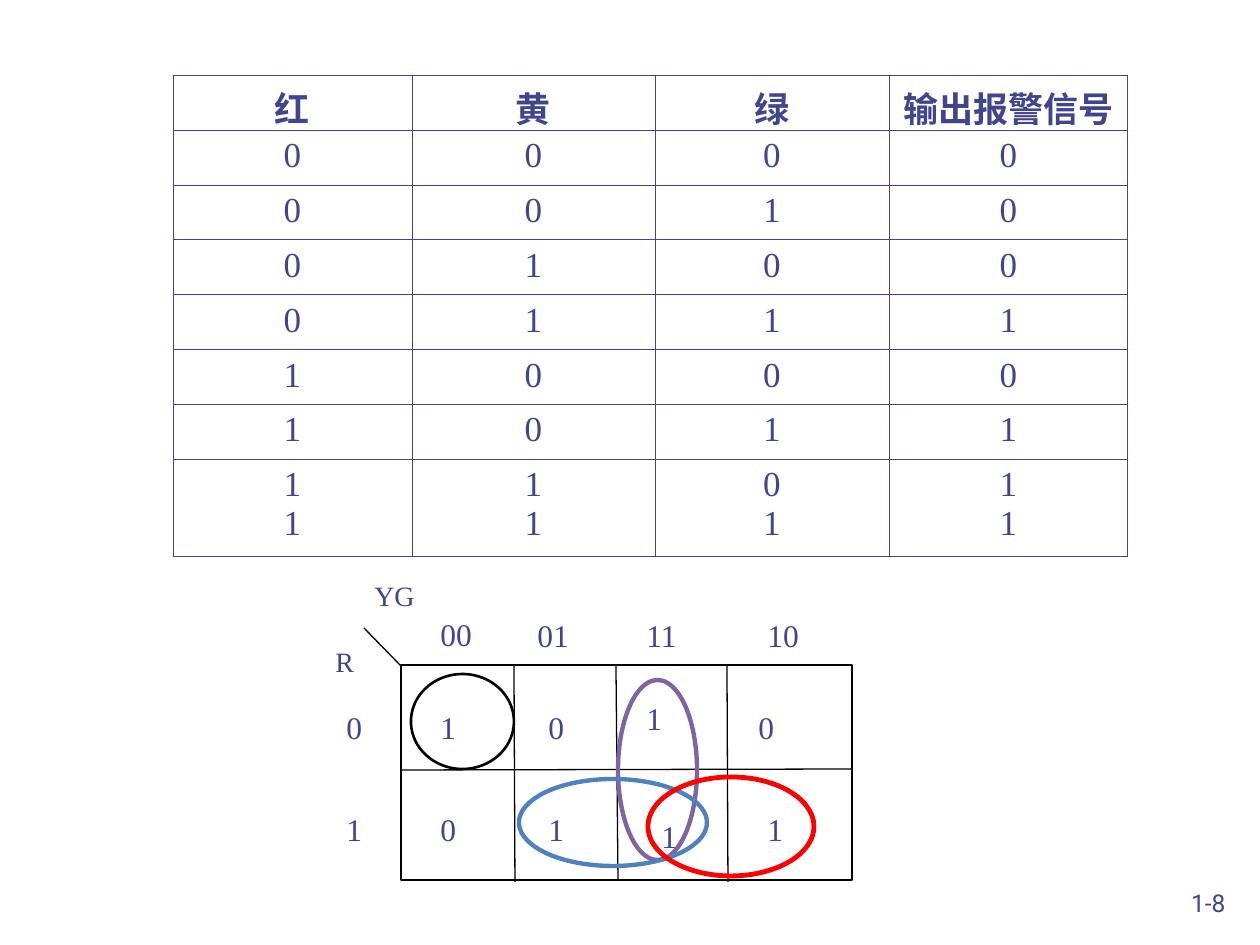
from dataclasses import dataclass
from itertools import pairwise

from lxml import etree
from pptx import Presentation
from pptx.dml.color import RGBColor
from pptx.enum.shapes import MSO_CONNECTOR, MSO_SHAPE
from pptx.enum.text import MSO_ANCHOR, PP_ALIGN
from pptx.oxml.ns import qn
from pptx.util import Emu, Pt

STRAIGHT = MSO_CONNECTOR.STRAIGHT
RECTANGLE = MSO_SHAPE.RECTANGLE
LOOP = MSO_SHAPE.FLOWCHART_CONNECTOR
CENTER, RIGHT, JUSTIFY = PP_ALIGN.CENTER, PP_ALIGN.RIGHT, PP_ALIGN.JUSTIFY
TOP, BOTTOM = MSO_ANCHOR.TOP, MSO_ANCHOR.BOTTOM

EMU_PER_PX = 914400 / 126
SERIF, SANS = "Times New Roman", "Roboto"
COLORS = {
    "text": "40458C",
    "black": "000000",
    "purple": "8064A2",
    "blue": "4F81BD",
    "red": "FF0000",
}


@dataclass(frozen=True)
class Label:
    text: str
    left: int
    top: int
    size: int = 18
    width: int = 67
    height: int = 55
    font: str = SERIF
    align: PP_ALIGN = JUSTIFY
    anchor: MSO_ANCHOR = TOP


@dataclass(frozen=True)
class Outline:
    kind: MSO_SHAPE
    left: int
    top: int
    width: int
    height: int
    color: str
    weight: float


@dataclass(frozen=True)
class Line:
    x1: int
    y1: int
    x2: int
    y2: int


COLUMN_EDGES = [173, 412, 655, 889, 1128]
ROW_EDGES = [75, 130, 185, 239, 294, 349, 403, 458, 555]
TRUTH_ROWS = [
    ["红", "黄", "绿", "输出报警信号"],
    ["0", "0", "0", "0"],
    ["0", "0", "1", "0"],
    ["0", "1", "0", "0"],
    ["0", "1", "1", "1"],
    ["1", "0", "0", "0"],
    ["1", "0", "1", "1"],
    ["1\n1", "1\n1", "0\n1", "1\n1"],
]

MAP_FRAME = Outline(RECTANGLE, 401, 665, 451, 215, "black", 0.75)
MAP_LINES = [
    Line(401, 770, 852, 769),
    Line(616, 665, 618, 880),
    Line(514, 666, 515, 882),
    Line(727, 666, 728, 882),
    Line(401, 666, 364, 628),
]
MAP_LABELS = [
    Label("YG", 362, 572, 16),
    Label("R", 323, 638, 16),
    Label("00", 428, 609),
    Label("01", 525, 610),
    Label("11", 634, 610),
    Label("10", 755, 610),
    Label("0", 334, 702),
    Label("1", 334, 804),
    Label("1", 428, 702),
    Label("0", 536, 702),
    Label("1", 634, 693),
    Label("1", 649, 811),
    Label("0", 428, 804),
    Label("1", 536, 804),
    Label("0", 746, 702),
    Label("1", 755, 804),
]
LOOPS = [
    Outline(LOOP, 411, 674, 103, 95, "black", 1.5),
    Outline(LOOP, 618, 680, 79, 180, "purple", 2.5),
    Outline(LOOP, 519, 779, 188, 87, "blue", 2.5),
    Outline(LOOP, 648, 777, 166, 99, "red", 2.75),
]
PAGE_NUMBER = Label("1-8", 976, 861, 14, 262, 63, SANS, RIGHT, BOTTOM)


def px(value: int) -> Emu:
    return Emu(round(value * EMU_PER_PX))


def write_text(text_frame, text: str, size: int, font: str, align, bold: bool = False) -> None:
    text_frame.text = text
    font_format = {"name": font, "size": Pt(size), "bold": bold}
    for paragraph in text_frame.paragraphs:
        paragraph.alignment = align
        for run in paragraph.runs:
            for name, value in font_format.items():
                setattr(run.font, name, value)
            run.font.color.rgb = RGBColor.from_string(COLORS["text"])


def draw_label(shapes, label: Label) -> None:
    shape = shapes.add_textbox(px(label.left), px(label.top), px(label.width), px(label.height))
    shape.text_frame.word_wrap = True
    shape.text_frame.vertical_anchor = label.anchor
    write_text(shape.text_frame, label.text, label.size, label.font, label.align)


def draw_outline(shapes, outline: Outline) -> None:
    shape = shapes.add_shape(
        outline.kind, px(outline.left), px(outline.top), px(outline.width), px(outline.height)
    )
    shape.shadow.inherit = False
    shape.fill.background()
    shape.line.color.rgb = RGBColor.from_string(COLORS[outline.color])
    shape.line.width = Pt(outline.weight)


def draw_line(shapes, line: Line) -> None:
    connector = shapes.add_connector(STRAIGHT, px(line.x1), px(line.y1), px(line.x2), px(line.y2))
    connector.line.color.rgb = RGBColor.from_string(COLORS["black"])
    connector.line.width = Pt(0.75)
    etree.SubElement(connector._element.spPr, qn("a:effectLst"))


def add_borders(cell) -> None:
    properties = cell._tc.get_or_add_tcPr()
    for index, side in enumerate(("lnL", "lnR", "lnT", "lnB")):
        border = etree.Element(qn(f"a:{side}"), w=str(Pt(0.45)))
        fill = etree.SubElement(border, qn("a:solidFill"))
        etree.SubElement(fill, qn("a:srgbClr"), val=COLORS["text"])
        properties.insert(index, border)


def draw_truth_table(shapes) -> None:
    left, top = COLUMN_EDGES[0], ROW_EDGES[0]
    width, height = COLUMN_EDGES[-1] - left, ROW_EDGES[-1] - top
    table = shapes.add_table(
        len(TRUTH_ROWS), len(TRUTH_ROWS[0]), px(left), px(top), px(width), px(height)
    ).table
    table.first_row = False
    table.horz_banding = False
    for column, (start, end) in zip(table.columns, pairwise(COLUMN_EDGES)):
        column.width = px(end - start)
    for row, (start, end) in zip(table.rows, pairwise(ROW_EDGES)):
        row.height = px(end - start)
    for row_index, values in enumerate(TRUTH_ROWS):
        for column_index, value in enumerate(values):
            cell = table.cell(row_index, column_index)
            cell.fill.background()
            add_borders(cell)
            write_text(cell.text_frame, value, 20, SERIF, CENTER, bold=row_index == 0)


def draw_karnaugh_map(shapes) -> None:
    group = shapes.add_group_shape()
    draw_outline(group.shapes, MAP_FRAME)
    for line in MAP_LINES:
        draw_line(group.shapes, line)
    for label in MAP_LABELS:
        draw_label(group.shapes, label)
    for loop in LOOPS:
        draw_outline(shapes, loop)


def main() -> None:
    presentation = Presentation()
    presentation.slide_width = px(1260)
    presentation.slide_height = px(945)
    slide = presentation.slides.add_slide(presentation.slide_layouts[6])
    draw_label(slide.shapes, PAGE_NUMBER)
    draw_truth_table(slide.shapes)
    draw_karnaugh_map(slide.shapes)
    presentation.save("out.pptx")


if __name__ == "__main__":
    main()
